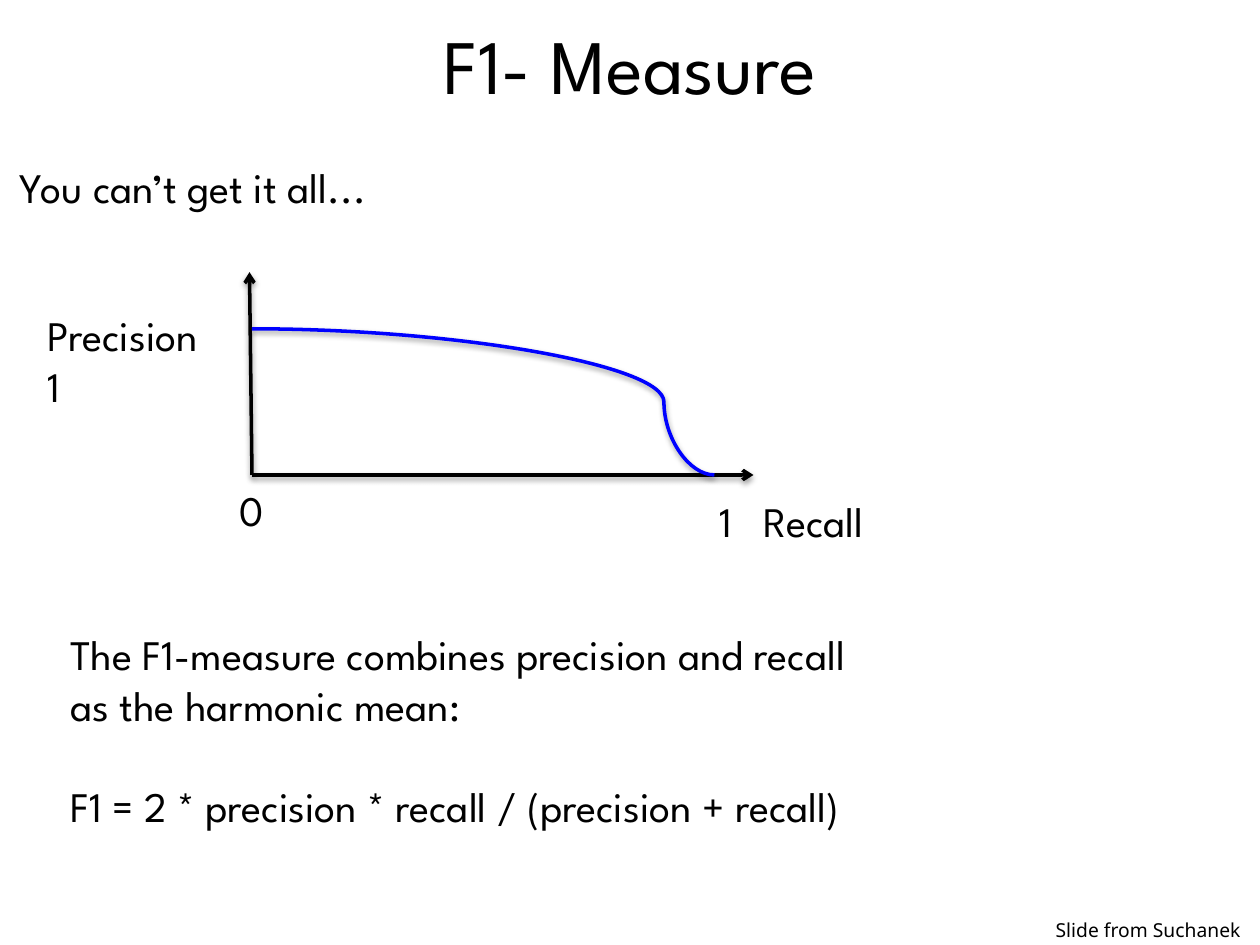
from lxml import etree
from pptx import Presentation
from pptx import util as u
from pptx.dml.color import RGBColor
from pptx.enum import shapes, text
from pptx.oxml import ns, parse_xml

Inches, Pt = u.Inches, u.Pt
COLORS = {"ink": "000000", "curve": "0001FF"}
HEAD_FONT, NOTE_FONT = "League Spartan", "Noto Sans"
SHADOW = (
    f'<a:effectLst {ns.nsdecls("a")}>'
    '<a:outerShdw blurRad="40000" dist="20000" dir="5400000" rotWithShape="0">'
    '<a:srgbClr val="000000"><a:alpha val="38000"/></a:srgbClr>'
    '</a:outerShdw></a:effectLst>'
)


def write(tf, *lines, size=24, font=HEAD_FONT, align=text.PP_ALIGN.LEFT, gaps=None):
    """Fill a text frame; gaps maps a line index to its space before, in points."""
    for i, line in enumerate(lines):
        p = tf.paragraphs[0] if i == 0 else tf.add_paragraph()
        p.alignment = align
        p.space_before = Pt((gaps or {}).get(i, 0))
        r = p.add_run()
        r.text = line
        r.font.size, r.font.name = Pt(size), font
        r.font.color.rgb = RGBColor.from_string(COLORS["ink"])


def add_text(s, box, *lines, wrap=False, **fmt):
    tf = s.shapes.add_textbox(*map(Inches, box)).text_frame
    tf.word_wrap = wrap
    write(tf, *lines, **fmt)


def add_line(s, start, end, color="ink", kind=shapes.MSO_CONNECTOR.STRAIGHT,
             arrow=False, bend=None):
    c = s.shapes.add_connector(kind, *map(Inches, (*start, *end)))
    c.line.width = Pt(2)
    c.line.color.rgb = RGBColor.from_string(COLORS[color])
    sp_pr = c._element.spPr
    if arrow:
        etree.SubElement(c.line._get_or_add_ln(), ns.qn("a:tailEnd"), type="arrow")
    if bend is not None:
        guides = sp_pr.find(ns.qn("a:prstGeom")).get_or_add_avLst()
        etree.SubElement(guides, ns.qn("a:gd"), name="adj1",
                         fmla=f"val {round(bend * 100000)}")
    sp_pr.append(parse_xml(SHADOW))


def add_title(s, box, title):
    sp = s.shapes.title
    sp.left, sp.top, sp.width, sp.height = map(Inches, box)
    sp.text_frame.vertical_anchor = text.MSO_ANCHOR.MIDDLE
    write(sp.text_frame, title, size=44, align=text.PP_ALIGN.CENTER)


def add_tradeoff(s, box):
    """Precision-recall curve; box is the area between the axes."""
    x, y, w, h = box
    base, right = y + h, x + w
    origin = (x, base)
    # Axes
    add_line(s, origin, (x - 0.02, y), arrow=True)
    add_line(s, origin, (right, base), arrow=True)
    # Axis labels
    add_text(s, (right - 0.37, base + 0.11, 0.35, 0.5), "1")
    add_text(s, (right - 0.02, base + 0.11, 1.32, 0.5), "Recall")
    add_text(s, (x - 1.72, y + 0.25, 1.71, 0.91), "Precision", "1", wrap=True)
    add_text(s, (x - 0.2, base + 0.03, 0.39, 0.5), "0")
    # Curve
    add_line(s, (x, y + 0.45), (right - 0.31, base), color="curve",
             kind=shapes.MSO_CONNECTOR.CURVE, bend=0.891)


def add_definition(s, box):
    add_text(s, box,
             "The F1-measure combines precision and recall",
             "as the harmonic mean:",
             "F1 = 2 * precision * recall / (precision + recall)",
             gaps={2: 29})


def main():
    prs = Presentation()
    prs.slide_width, prs.slide_height = Inches(10), Inches(7.5)
    s = prs.slides.add_slide(prs.slide_layouts[5])
    add_title(s, (0, 0, 10, 1.01), "F1- Measure")
    add_text(s, (0.06, 1.23, 3.48, 0.5), "You can’t get it all...", wrap=True)
    add_tradeoff(s, (2, 2.16, 3.98, 1.61))
    add_definition(s, (0.46, 4.94, 7.75, 1.72))
    # Credit
    add_text(s, (8.28, 7.24, 1.72, 0.29), "Slide from Suchanek",
             size=11, font=NOTE_FONT)
    prs.save("out.pptx")


if __name__ == "__main__":
    main()
